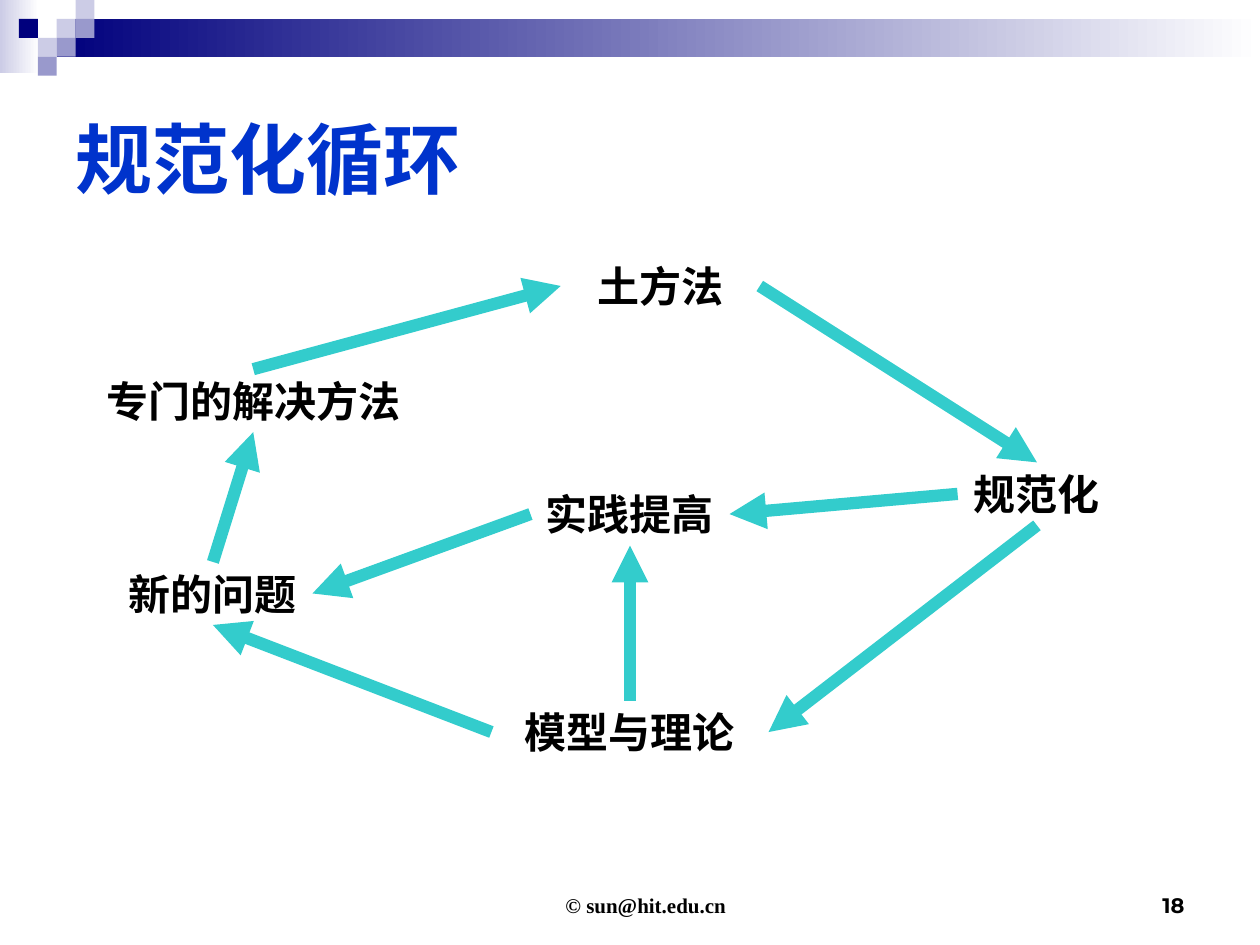
from lxml import etree
from pptx import Presentation
from pptx.dml.color import RGBColor
from pptx.enum import shapes, text
from pptx.oxml.ns import qn
from pptx.util import Inches, Pt

THEME = {
    "navy": "00007D", "mid": "9999CC", "pale": "CCCCE6", "white": "FFFFFF",
    "title": "0033CC", "ink": "000000", "arrow": "33CCCC",
    "font": "Arial", "footer_font": "Times New Roman", "number_font": "Montserrat",
    "title_size": 44, "step_size": 24, "footer_size": 12, "arrow_width": 7,
}
TOP, LEFT, BOTTOM, RIGHT = range(4)
STEP_HEIGHT = 0.5
SQUARE = 0.15

# left, top, width, height, colour fading to white on the right
BANDS = [(0, 0, 0.31, 0.58, "pale"), (0.45, 0.15, 9.55, 0.3, "navy")]
# column and row on the grid of squares, colour
SQUARES = [(3, 1, "pale"), (4, 0, "pale"), (4, 1, "mid"), (2, 2, "pale"),
           (1, 1, "navy"), (3, 2, "mid"), (2, 3, "mid")]
# name: left, top, width
STEPS = {
    "专门的解决方法": (0.67, 2.93, 2.68),
    "土方法": (4.45, 2.02, 1.58),
    "规范化": (7.6, 3.67, 1.26),
    "模型与理论": (3.9, 5.56, 2.2),
    "新的问题": (0.9, 4.46, 1.58),
    "实践提高": (4.21, 3.83, 1.58),
}
ARROWS = [
    ("专门的解决方法", TOP, "土方法", LEFT),
    ("土方法", RIGHT, "规范化", TOP),
    ("规范化", LEFT, "实践提高", RIGHT),
    ("规范化", BOTTOM, "模型与理论", RIGHT),
    ("模型与理论", TOP, "实践提高", BOTTOM),
    ("模型与理论", LEFT, "新的问题", BOTTOM),
    ("新的问题", TOP, "专门的解决方法", BOTTOM),
    ("实践提高", LEFT, "新的问题", RIGHT),
]


def color(name):
    return RGBColor.from_string(THEME[name])


def add_block(s, left, top, width, height, fill, fade=False):
    sp = s.shapes.add_shape(shapes.MSO_SHAPE.RECTANGLE,
                            *map(Inches, (left, top, width, height)))
    sp.shadow.inherit = False
    sp.line.fill.background()
    if fade:
        sp.fill.gradient()
        sp.fill.gradient_angle = 0
        for stop, name in zip(sp.fill.gradient_stops, (fill, "white")):
            stop.color.rgb = color(name)
    else:
        sp.fill.solid()
        sp.fill.fore_color.rgb = color(fill)


def add_text(s, words, box, size, font="font", ink="ink", align="CENTER",
             anchor="TOP", indent=0):
    sp = s.shapes.add_textbox(*map(Inches, box))
    tf = sp.text_frame
    tf.word_wrap = True
    tf.auto_size = text.MSO_AUTO_SIZE.NONE
    tf.vertical_anchor = text.MSO_ANCHOR[anchor]
    p = tf.paragraphs[0]
    p.alignment = text.PP_ALIGN[align]
    if indent:
        p._p.get_or_add_pPr().set("marL", str(Inches(indent)))
    r = p.add_run()
    r.text = words
    r.font.name = THEME[font]
    r.font.size = Pt(THEME[size])
    r.font.bold = True
    r.font.color.rgb = color(ink)
    return sp


def add_arrow(s, start, start_side, end, end_side):
    cxn = s.shapes.add_connector(shapes.MSO_CONNECTOR.STRAIGHT, 0, 0, 0, 0)
    cxn.begin_connect(start, start_side)
    cxn.end_connect(end, end_side)
    cxn.line.color.rgb = color("arrow")
    cxn.line.width = Pt(THEME["arrow_width"])
    etree.SubElement(cxn.line._get_or_add_ln(), qn("a:tailEnd"), type="triangle")
    etree.SubElement(cxn._element.spPr, qn("a:effectLst"))


def main():
    prs = Presentation()
    prs.slide_width, prs.slide_height = Inches(10), Inches(7.5)
    s = prs.slides.add_slide(prs.slide_layouts[6])

    for *box, fill in BANDS:
        add_block(s, *box, fill, fade=True)
    for col, row, fill in SQUARES:
        add_block(s, col * SQUARE, row * SQUARE, SQUARE, SQUARE, fill)

    add_text(s, "规范化循环", (0.5, 0.5, 9, 1.5), "title_size",
             ink="title", align="LEFT", anchor="MIDDLE")
    steps = {name: add_text(s, name, (*place, STEP_HEIGHT), "step_size")
             for name, place in STEPS.items()}
    for start, start_side, end, end_side in ARROWS:
        add_arrow(s, steps[start], start_side, steps[end], end_side)

    add_text(s, "© sun@hit.edu.cn", (3.42, 6.83, 3.17, 0.5), "footer_size",
             "footer_font", anchor="BOTTOM", indent=0.24)
    add_text(s, "18", (7.17, 6.83, 2.33, 0.5), "footer_size",
             "number_font", align="RIGHT", anchor="BOTTOM")
    prs.save("out.pptx")


if __name__ == "__main__":
    main()
